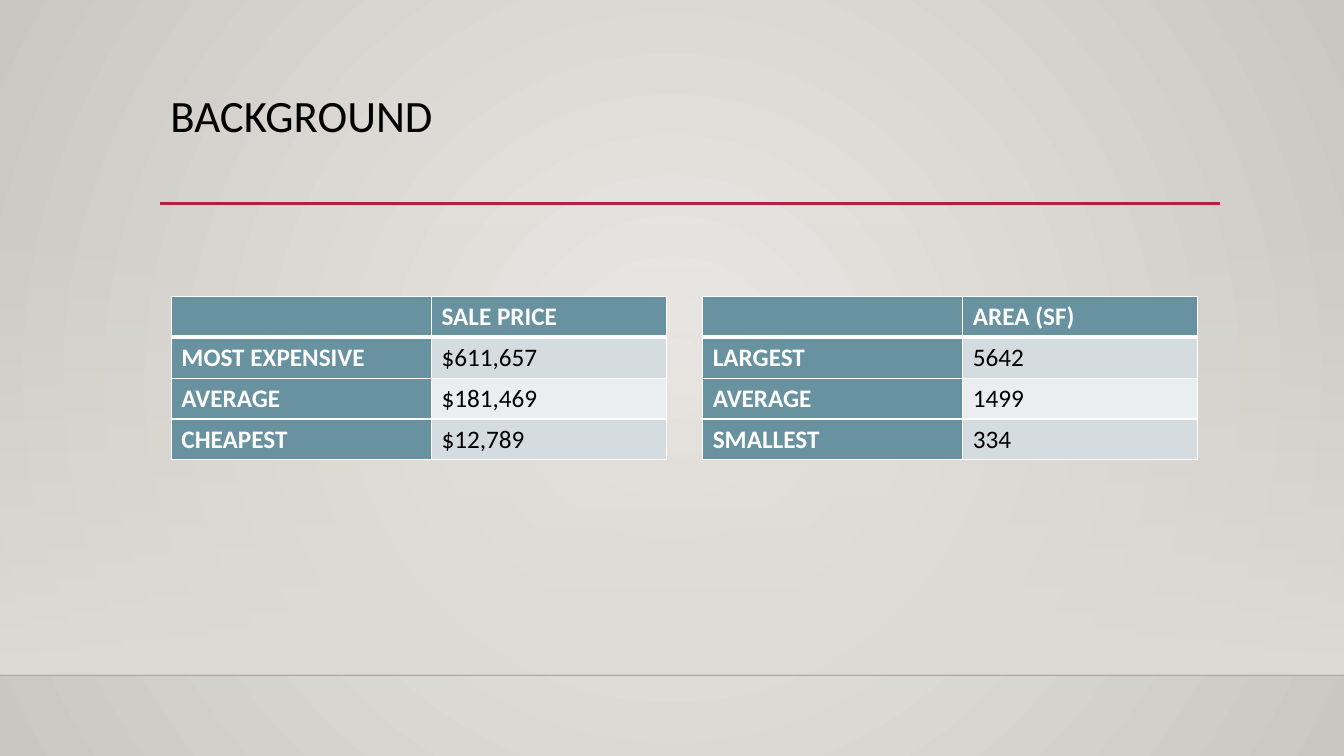
from lxml.etree import SubElement
from pptx import Presentation
from pptx.dml.color import RGBColor
from pptx.enum.shapes import MSO_CONNECTOR, MSO_SHAPE
from pptx.enum.text import MSO_ANCHOR, PP_ALIGN
from pptx.oxml import parse_xml
from pptx.oxml.ns import nsdecls, qn
from pptx.util import Inches, Pt

FONT = "Calibri"
WHITE, BLACK = "FFFFFF", "000000"
TEAL, BAND_DARK, BAND_LIGHT = "6892A0", "D4DCDF", "EBEEF0"
TABLE_LEFT, TABLE_TOP, TABLE_STEP = 1.7, 2.94, 5.27
COLUMN_WIDTHS = (2.58, 2.33)
ROW_HEIGHT = 0.405
RADIAL = ('<a:path path="circle"><a:fillToRect l="50000" t="50000" '
          'r="50000" b="50000"/></a:path>')
DOWNWARD = '<a:lin ang="5400000" scaled="0"/>'
TABLES = [
    [("", "SALE PRICE"), ("MOST EXPENSIVE", "$611,657"),
     ("AVERAGE", "$181,469"), ("CHEAPEST", "$12,789")],
    [("", "AREA (SF)"), ("LARGEST", "5642"),
     ("AVERAGE", "1499"), ("SMALLEST", "334")],
]


def rgb(value):
    return RGBColor.from_string(value)


def set_gradient(fill, element, stops, direction):
    """Fill with (colour, opacity percent) stops spread evenly."""
    fill.solid()
    fill.fore_color.rgb = rgb(stops[0][0])
    stop_xml = "".join(
        f'<a:gs pos="{i * 100000 // (len(stops) - 1)}"><a:srgbClr val="{color}">'
        f'<a:alpha val="{opacity * 1000}"/></a:srgbClr></a:gs>'
        for i, (color, opacity) in enumerate(stops))
    solid = element.find(".//" + qn("a:solidFill"))
    solid.getparent().replace(solid, parse_xml(
        f'<a:gradFill {nsdecls("a")} rotWithShape="1"><a:gsLst>{stop_xml}'
        f'</a:gsLst>{direction}</a:gradFill>'))


def add_rule(s, left, right, y, color, width, opacity=100):
    line = s.shapes.add_connector(MSO_CONNECTOR.STRAIGHT, left, y, right, y)
    line.line.color.rgb = rgb(color)
    line.line.width = Pt(width)
    spPr = line.element.spPr
    if opacity < 100:
        SubElement(spPr.find(".//" + qn("a:srgbClr")), qn("a:alpha"),
                   val=str(opacity * 1000))
    SubElement(spPr, qn("a:effectLst"))


def format_text(p, size, color, bold=False):
    for r in p.runs:
        r.font.name = FONT
        r.font.size = Pt(size)
        r.font.bold = bold
        r.font.color.rgb = rgb(color)


def set_borders(cell, **widths):
    tcPr = cell._tc.get_or_add_tcPr()
    for side in "LRTB":
        tcPr.append(parse_xml(
            f'<a:ln{side} {nsdecls("a")} w="{Pt(widths.get(side, 1))}">'
            f'<a:solidFill><a:srgbClr val="{WHITE}"/></a:solidFill></a:ln{side}>'))


def add_data_table(s, left, rows):
    table = s.shapes.add_table(
        len(rows), len(COLUMN_WIDTHS), Inches(left), Inches(TABLE_TOP),
        Inches(sum(COLUMN_WIDTHS)), Inches(ROW_HEIGHT * len(rows))).table
    table.first_col = True
    for column, width in zip(table.columns, COLUMN_WIDTHS):
        column.width = Inches(width)
    for i, values in enumerate(rows):
        table.rows[i].height = Inches(ROW_HEIGHT)
        for j, value in enumerate(values):
            cell = table.cell(i, j)
            heading = i == 0 or j == 0
            set_borders(cell, T=3 if i == 1 else 1, B=3 if i == 0 else 1)
            cell.fill.solid()
            cell.fill.fore_color.rgb = rgb(
                TEAL if heading else BAND_DARK if i % 2 else BAND_LIGHT)
            cell.text_frame.text = value
            format_text(cell.text_frame.paragraphs[0], 18,
                        WHITE if heading else BLACK, heading)


def add_title(s, text):
    title = s.shapes.title
    title.left, title.top = Inches(1.59), Inches(0.88)
    title.width, title.height = Inches(10.5), Inches(1.15)
    title.element.getparent().append(title.element)
    tf = title.text_frame
    tf.text = text
    tf.vertical_anchor = MSO_ANCHOR.TOP
    p = tf.paragraphs[0]
    p.alignment = PP_ALIGN.LEFT
    p.line_spacing = 0.9
    format_text(p, 32, BLACK)


def add_backdrop(s, width):
    set_gradient(s.background.fill, s.element,
                 [("ECEAE7", 100), ("CAC7C1", 100)], RADIAL)
    floor = Inches(6.7)
    top = Inches(2.21)
    wall = s.shapes.add_shape(MSO_SHAPE.RECTANGLE, 0, top, width, floor - top)
    wall.shadow.inherit = False
    wall.line.fill.background()
    set_gradient(wall.fill, wall.element,
                 [("DFDBD5", 0), ("DFDBD5", 100)], DOWNWARD)
    add_rule(s, 0, width, floor, "000001", 1, opacity=20)
    add_rule(s, Inches(1.59), Inches(12.1), Inches(2.02), "B71E42", 2.5)


def main():
    prs = Presentation()
    prs.slide_width, prs.slide_height = Inches(13.33), Inches(7.5)
    s = prs.slides.add_slide(prs.slide_layouts[5])
    add_backdrop(s, prs.slide_width)
    add_title(s, "BACKGROUND")
    for i, rows in enumerate(TABLES):
        add_data_table(s, TABLE_LEFT + i * TABLE_STEP, rows)
    prs.save("out.pptx")


if __name__ == "__main__":
    main()
